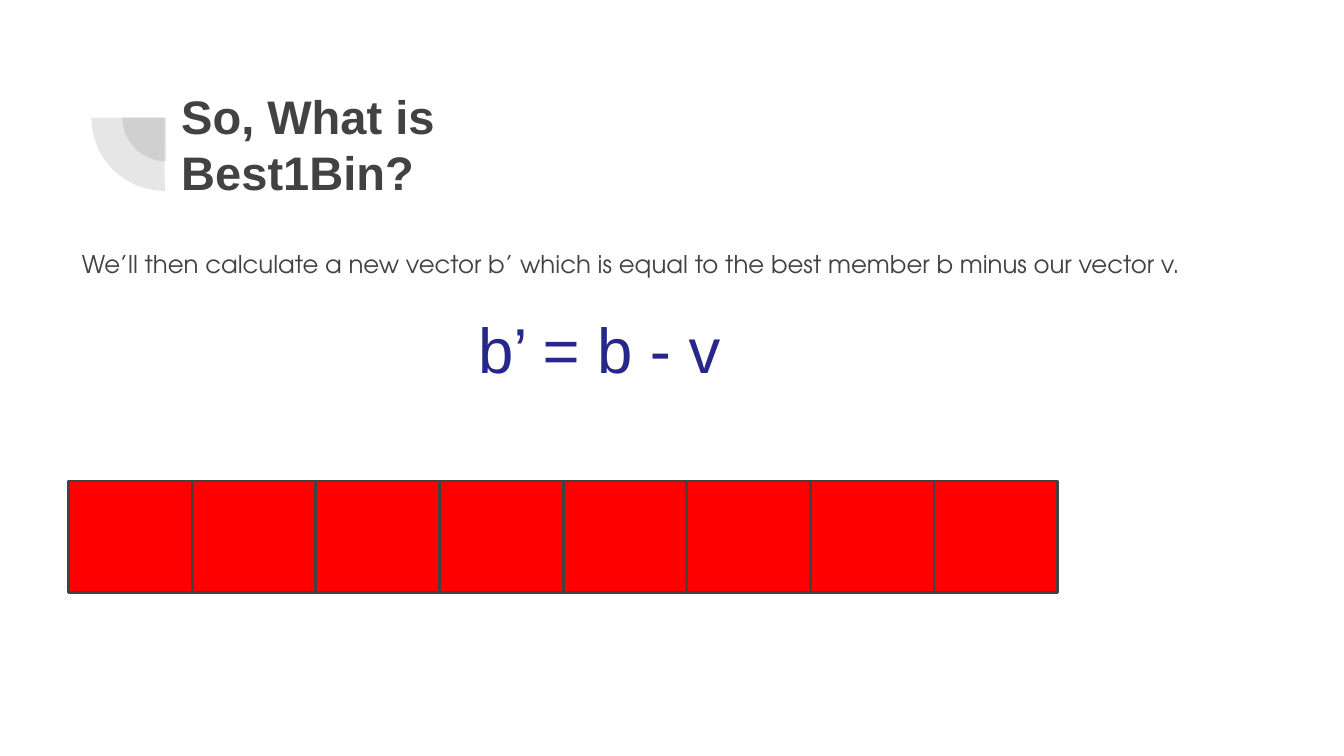
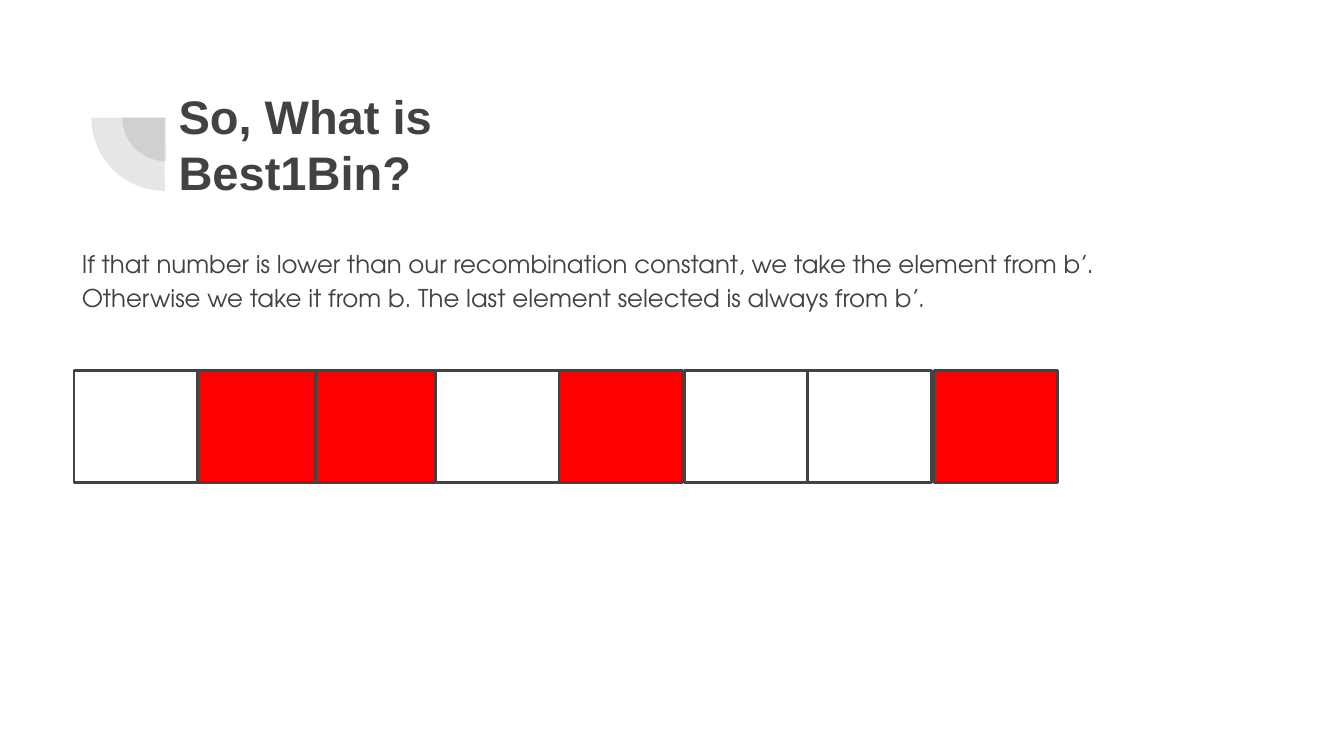
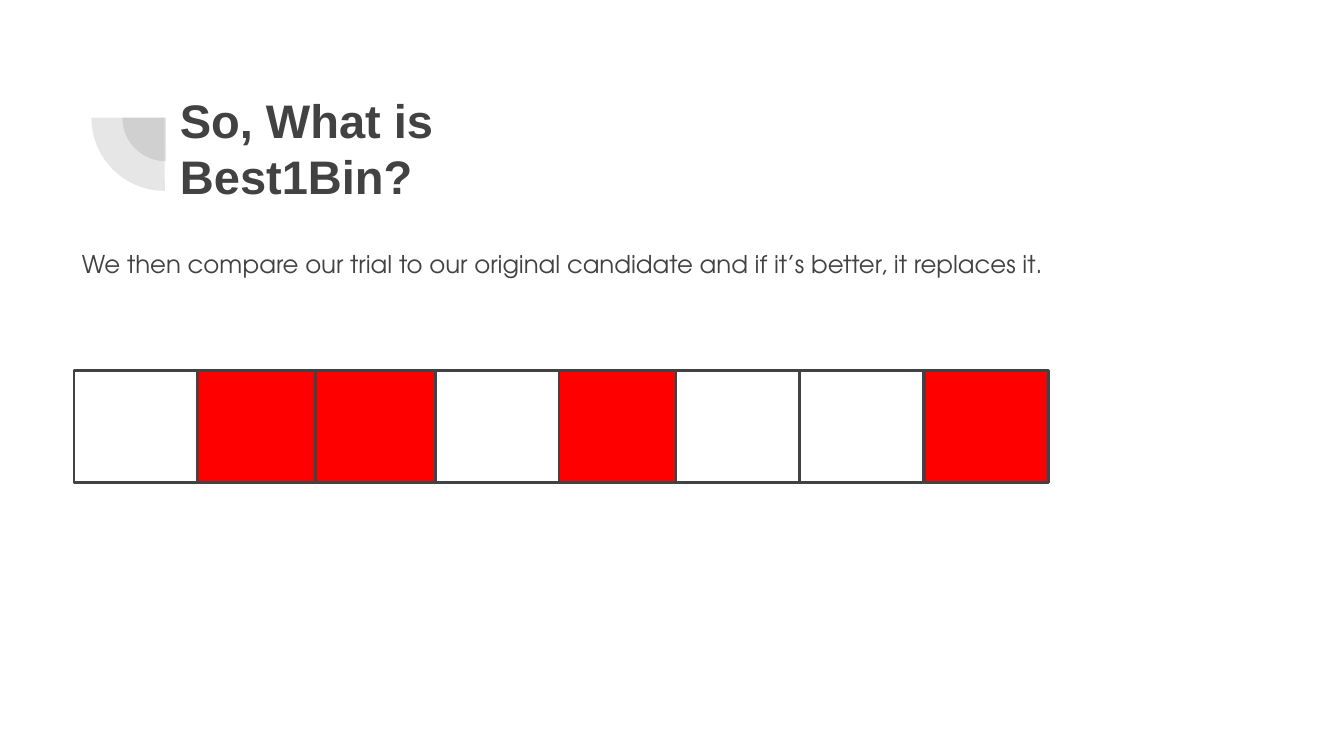
from dataclasses import dataclass

from lxml.etree import SubElement
from pptx import Presentation
from pptx.dml.color import RGBColor
from pptx.enum.shapes import MSO_SHAPE
from pptx.enum.text import MSO_ANCHOR
from pptx.oxml.ns import qn
from pptx.shapes.autoshape import Shape
from pptx.slide import Slide
from pptx.util import Inches, Pt

GREY = RGBColor(0x42, 0x42, 0x42)
NAVY = RGBColor(0x27, 0x27, 0x8B)
RED = RGBColor(0xFF, 0x00, 0x00)
WHITE = RGBColor(0xFF, 0xFF, 0xFF)

WIDTH = Inches(10)
HEIGHT = WIDTH * 9 // 16
TITLE = "So, What is Best1Bin?"
CELL_WIDTH, CELL_HEIGHT = 0.92, 0.83
PAD = Inches(0.1)
FRAME = dict(word_wrap=True, vertical_anchor=MSO_ANCHOR.TOP, margin_left=PAD,
             margin_right=PAD, margin_top=PAD, margin_bottom=PAD)


@dataclass(frozen=True)
class Style:
    font: dict
    color: RGBColor
    para: dict


HEAD = Style(dict(name="Arial", size=Pt(25.2), bold=True), GREY, {})
BODY = Style(dict(name="TeX Gyre Adventor", size=Pt(13.1)), GREY,
             dict(line_spacing=1.15, space_after=Pt(12)))
MATH = Style(dict(name="Arial", size=Pt(34)), NAVY, {})


@dataclass(frozen=True)
class Box:
    left: float
    top: float
    width: float
    height: float

    def place(self) -> tuple:
        return tuple(map(Inches, (self.left, self.top, self.width, self.height)))


@dataclass(frozen=True)
class Note:
    text: str
    box: Box
    style: Style


@dataclass(frozen=True)
class Vector:
    """Cells at one height; white cells lie over red ones."""
    top: float
    reds: tuple
    whites: tuple = ()


@dataclass(frozen=True)
class Page:
    notes: tuple
    vector: Vector


def head(left: float, top: float) -> Note:
    return Note(TITLE, Box(left, top, 3.65, 0.83), HEAD)


def body(text: str, height: float) -> Note:
    return Note(text, Box(0.51, 1.72, 8.59, height), BODY)


PIES = (Box(0.91, 0.55, 0.65, 0.65), Box(0.68, 0.33, 1.09, 1.09))
PAGES = (
    Page((head(1.25, 0.55),
          body("We’ll then calculate a new vector b’ which is equal to the best "
               "member b minus our vector v.", 0.49),
          Note("b’ = b - v", Box(3.46, 2.21, 2.26, 0.77), MATH)),
         Vector(3.58, tuple(0.51 + CELL_WIDTH * i for i in range(8)))),
    Page((head(1.23, 0.55),
          body("If that number is lower than our recombination constant, we take "
               "the element from b’. Otherwise we take it from b. The last element "
               "selected is always from b’.", 0.83)),
         Vector(2.76, (1.45, 2.35, 4.16, 6.95), (0.55, 3.24, 5.09, 6.01))),
    Page((head(1.24, 0.58),
          body("We then compare our trial to our original candidate and if it’s "
               "better, it replaces it.", 0.83)),
         Vector(2.76, (1.45, 2.35, 4.16, 6.88), (0.55, 3.24, 5.03, 5.95))),
)


def apply(target: object, values: dict) -> None:
    for name, value in values.items():
        setattr(target, name, value)


def paint(shape: Shape, color: RGBColor) -> None:
    shape.shadow.inherit = False
    shape.fill.solid()
    shape.fill.fore_color.rgb = color


def draw_pies(slide: Slide) -> None:
    """Draw the two faint quarter discs beside the title."""
    group = slide.shapes.add_group_shape()
    for box in PIES:
        pie = group.shapes.add_shape(MSO_SHAPE.PIE, *box.place())
        pie.adjustments[0], pie.adjustments[1] = 107.93, 162
        pie.rotation = 270
        paint(pie, GREY)
        pie.line.fill.background()
        color = pie.element.spPr.find(qn("a:solidFill")).find(qn("a:srgbClr"))
        SubElement(color, qn("a:alpha")).set("val", "13000")


def draw_note(slide: Slide, note: Note) -> None:
    frame = slide.shapes.add_textbox(*note.box.place()).text_frame
    apply(frame, FRAME)
    para = frame.paragraphs[0]
    apply(para, note.style.para)
    run = para.add_run()
    run.text = note.text
    apply(run.font, note.style.font)
    run.font.color.rgb = note.style.color


def draw_vector(slide: Slide, vector: Vector) -> None:
    for color, lefts in ((RED, vector.reds), (WHITE, vector.whites)):
        for left in lefts:
            box = Box(left, vector.top, CELL_WIDTH, CELL_HEIGHT)
            cell = slide.shapes.add_shape(MSO_SHAPE.RECTANGLE, *box.place())
            paint(cell, color)
            cell.line.color.rgb = GREY
            cell.line.width = Pt(1.5)


def main() -> None:
    deck = Presentation()
    deck.slide_width, deck.slide_height = WIDTH, HEIGHT
    for page in PAGES:
        slide = deck.slides.add_slide(deck.slide_layouts[6])
        draw_pies(slide)
        for note in page.notes:
            draw_note(slide, note)
        draw_vector(slide, page.vector)
    deck.save("out.pptx")


if __name__ == "__main__":
    main()
